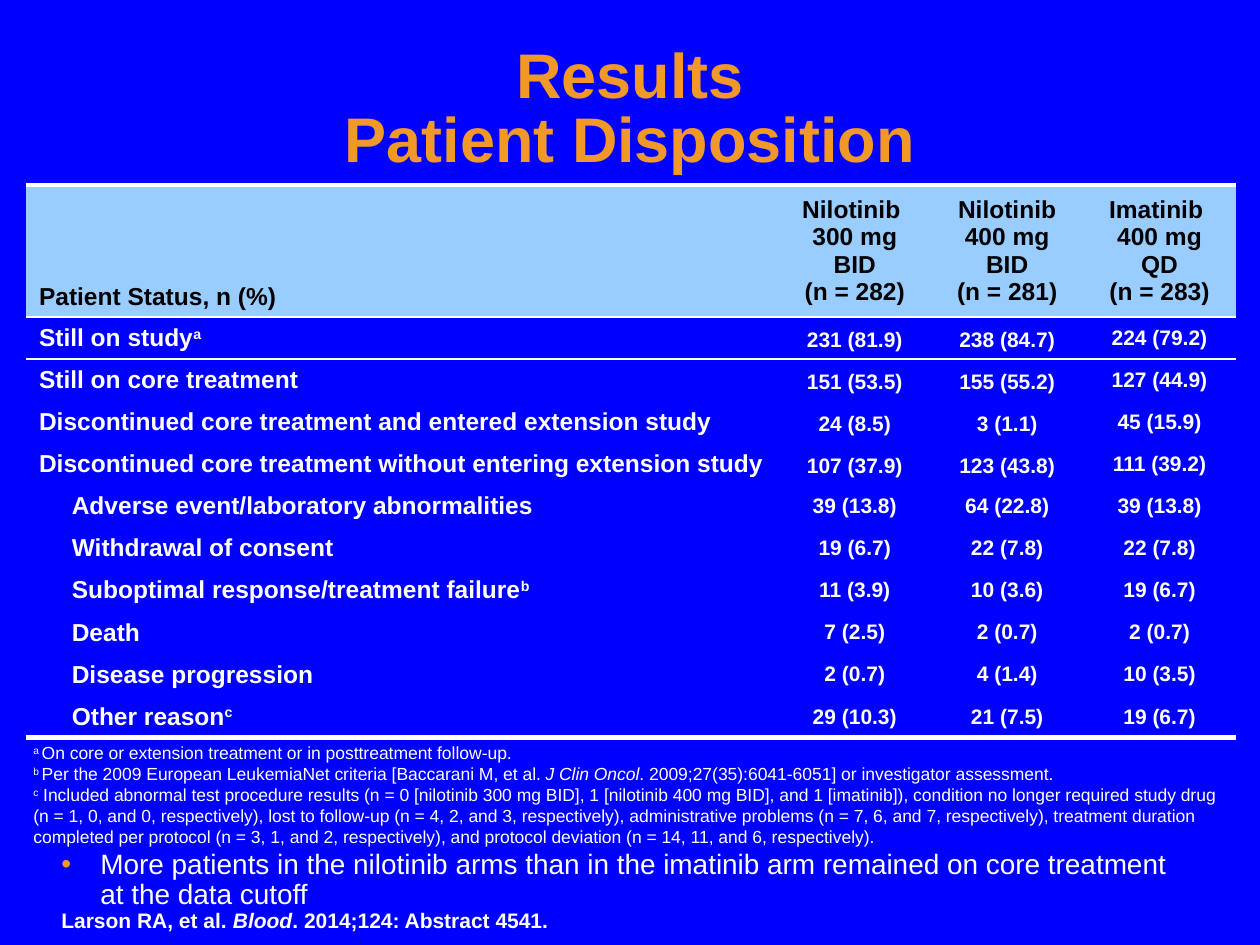
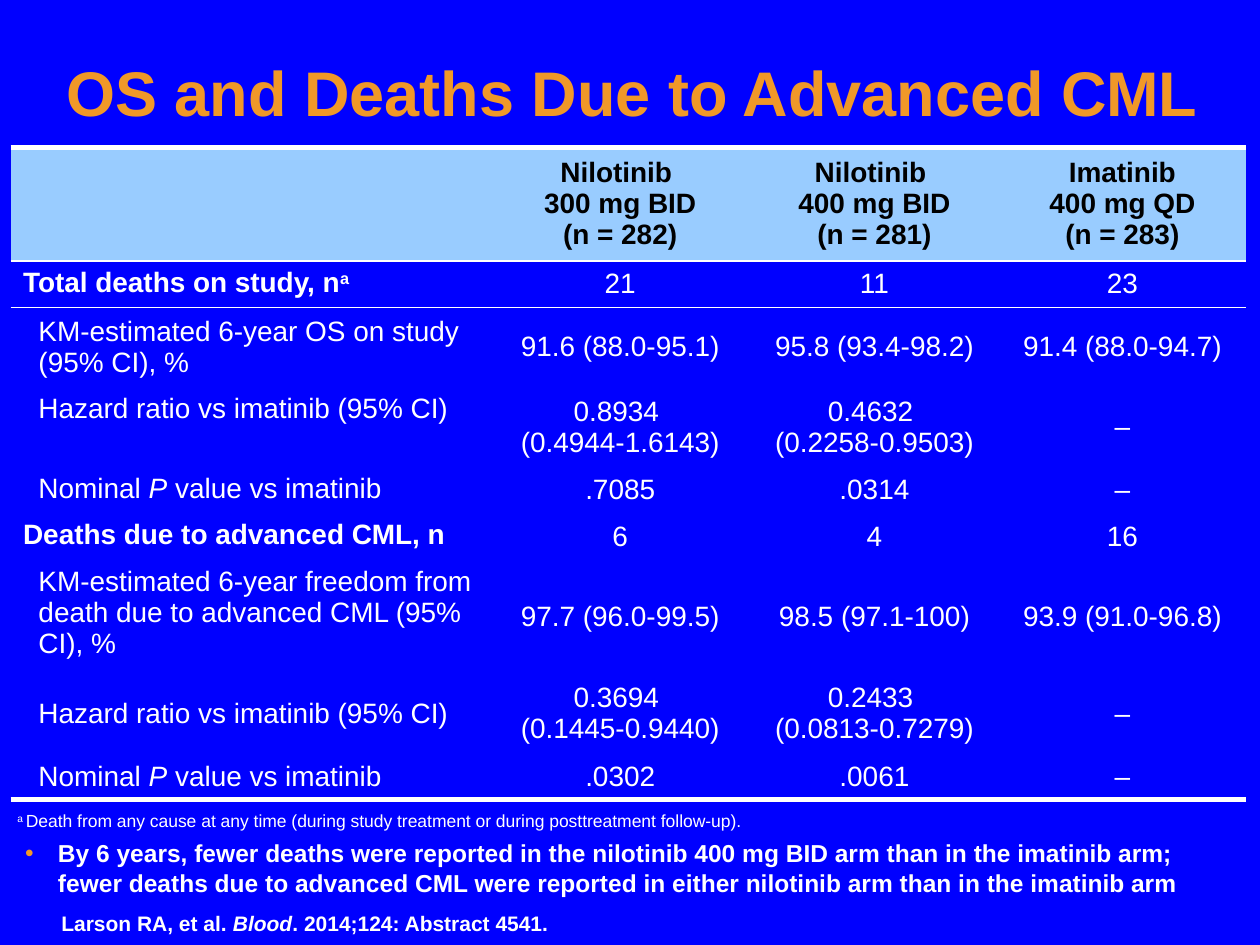
from copy import deepcopy
from lxml.etree import SubElement as Sub
from pptx import Presentation
from pptx.dml.color import RGBColor
from pptx.enum.text import MSO_ANCHOR as Anchor, PP_ALIGN as Align
from pptx.oxml.ns import qn
from pptx.util import Pt

rgb = RGBColor.from_string
BLUE, GOLD, WHITE, BLACK, SKY = "0000FF", "F09828", "FFFFFF", "000000", "99CCFF"
NO_STYLE = "{2D5ABB26-0587-4C30-8999-92F81FD0307C}"
CITE = "Larson RA, et al. |_Blood|. 2014;124: Abstract 4541."


# "\n" parts paragraphs, "|" parts runs, "^" raises a run, "_" slants it, "\v" breaks a line
def write(frame, text, size, hue=WHITE, bold=False, align=Align.LEFT, space=None,
          left=0, hang=0):
    frame.word_wrap = True
    for n, line in enumerate(text.split("\n")):
        para = frame.paragraphs[0] if n == 0 else frame.add_paragraph()
        para.alignment = align
        if space:
            para.line_spacing = space
        props = para._p.get_or_add_pPr()
        if left:
            props.set("marL", str(Pt(left)))
        if hang:
            props.set("indent", str(-Pt(hang)))
            Sub(Sub(props, qn("a:buClr")), qn("a:srgbClr"), val=GOLD)
            Sub(props, qn("a:buFont"), typeface="Arial")
            Sub(props, qn("a:buChar"), char="•")
        for part in line.split("|"):
            mark = part[:1]
            for k, piece in enumerate(part.lstrip("^_").split("\v")):
                if k:
                    para.add_line_break()
                    para._p[-1].append(deepcopy(run._r.rPr))
                run = para.add_run()
                run.text = piece
                font = run.font
                font.name, font.size, font.bold = "Arial", Pt(size), bold
                font.color.rgb = rgb(hue)
                if mark == "_":
                    font.italic = True
                if mark == "^":
                    run._r.get_or_add_rPr().set("baseline", "30000")


def box(slide, at, text, size, anchor=Anchor.TOP, **look):
    frame = slide.shapes.add_textbox(*map(Pt, at)).text_frame
    frame.vertical_anchor = anchor
    write(frame, text, size, **look)


pages = [
    dict(
        title="Results\nPatient Disposition", head=(43.2, 35.3, 633.6, 56.2),
        grid=(15.1, 105.8), cols=[429.8, 87.1, 87.1, 87.1], rows=[75.4] + [24] * 10,
        sizes=(14, 14, 12), bold=True, inset=18.7, tops=(), loose=range(1, 5),
        cells=[
            ["Patient Status, n (%)", "Nilotinib \v300 mg BID\n(n = 282)",
             "Nilotinib 400 mg BID\n(n = 281)", "Imatinib \v400 mg QD\n(n = 283)"],
            ["Still on study|^a", "231 (81.9)", "238 (84.7)", "224 (79.2)"],
            ["Still on core treatment", "151 (53.5)", "155 (55.2)", "127 (44.9)"],
            ["Discontinued core treatment and entered extension study",
             "24 (8.5)", "3 (1.1)", "45 (15.9)"],
            ["Discontinued core treatment without entering extension study",
             "107 (37.9)", "123 (43.8)", "111 (39.2)"],
            [">Adverse event/laboratory abnormalities", "39 (13.8)", "64 (22.8)", "39 (13.8)"],
            [">Withdrawal of consent", "19 (6.7)", "22 (7.8)", "22 (7.8)"],
            [">Suboptimal response/treatment failure|^b", "11 (3.9)", "10 (3.6)", "19 (6.7)"],
            [">Death", "7 (2.5)", "2 (0.7)", "2 (0.7)"],
            [">Disease progression", "2 (0.7)", "4 (1.4)", "10 (3.5)"],
            [">Other reason|^c", "29 (10.3)", "21 (7.5)", "19 (6.7)"],
        ],
        note="^a |On core or extension treatment or in posttreatment follow-up.\n"
             "^b |Per the 2009 European LeukemiaNet criteria [Baccarani M, et al. "
             "|_J Clin Oncol|. 2009;27(35):6041-6051] or investigator assessment.\n"
             "^c| Included abnormal test procedure results (n = 0 [nilotinib 300 mg BID], "
             "1 [nilotinib 400 mg BID], and 1 [imatinib]), condition no longer required "
             "study drug (n = 1, 0, and 0, respectively), lost to follow-up (n = 4, 2, and 3, "
             "respectively), administrative problems (n = 7, 6, and 7, respectively), "
             "treatment duration completed per protocol (n = 3, 1, and 2, respectively), "
             "and protocol deviation (n = 14, 11, and 6, respectively).",
        foot=(12, 420.5, 690, 67.7),
        point="More patients in the nilotinib arms than in the imatinib arm remained "
              "on core treatment \vat the data cutoff",
        spot=(28, 482.4, 692, 42.5),
        look=dict(size=16, space=0.9, left=22.3, hang=22.3), base=514.8),
    dict(
        title="OS and Deaths Due to Advanced CML", head=(2.9, 27.4, 717.1, 56.2),
        grid=(6, 84.2), cols=[274.3, 148.2, 142.4, 141],
        rows=[65, 26.5, 45.3, 45.3, 26.5, 26.5, 65, 45.3, 26.5],
        sizes=(16, 16, 16), bold=False, inset=8.8, tops=(1, 3, 4, 5, 6), loose=(),
        cells=[
            ["", "Nilotinib \n300 mg BID\n(n = 282)", "Nilotinib \n400 mg BID\n(n = 281)",
             "Imatinib\n400 mg QD\n(n = 283)"],
            ["Total deaths on study, n|^a", "21", "11", "23"],
            [">KM-estimated 6-year OS on study (95% CI), %",
             "91.6 (88.0-95.1)", "95.8 (93.4-98.2)", "91.4 (88.0-94.7)"],
            [">Hazard ratio vs imatinib (95% CI)",
             "0.8934 \n(0.4944-1.6143)", "0.4632 \n(0.2258-0.9503)", "–"],
            [">Nominal |_P| value vs imatinib", ".7085", ".0314", "–"],
            ["Deaths due to advanced CML, n", "6", "4", "16"],
            [">KM-estimated 6-year freedom from death due to advanced CML (95% CI), %",
             "97.7 (96.0-99.5)", "98.5 (97.1-100)", "93.9 (91.0-96.8)"],
            [">Hazard ratio vs imatinib (95% CI)",
             "0.3694 \n(0.1445-0.9440)", "0.2433 \n(0.0813-0.7279)", "–"],
            [">Nominal |_P| value vs imatinib", ".0302", ".0061", "–"],
        ],
        note="^a |Death from any cause at any time (during study treatment or during "
             "posttreatment follow-up).",
        foot=(2.9, 459.4, 714.2, 19.4),
        point="By 6 years, fewer deaths were reported in the nilotinib 400 mg BID arm than "
              "in the imatinib arm; fewer deaths due to advanced CML were reported in "
              "either nilotinib arm than in the imatinib arm",
        spot=(-1.4, 475.5, 690.5, 44.6),
        look=dict(size=14, bold=True, left=27.4, hang=18.7), base=517),
]

deck = Presentation()
deck.slide_width, deck.slide_height = Pt(720), Pt(540)

for page in pages:
    slide = deck.slides.add_slide(deck.slide_layouts[6])
    back = slide.background.fill
    back.solid()
    back.fore_color.rgb = rgb(BLUE)
    box(slide, page["head"], page["title"], 36, Anchor.MIDDLE, hue=GOLD, bold=True,
        align=Align.CENTER, space=0.85)
    box(slide, page["foot"], page["note"], 10)

    cols, rows, cells = page["cols"], page["rows"], page["cells"]
    spans = map(Pt, (*page["grid"], sum(cols), sum(rows)))
    table = slide.shapes.add_table(len(rows), len(cols), *spans).table
    table.first_row = table.horz_banding = False
    table._tbl.tblPr.find(qn("a:tableStyleId")).text = NO_STYLE
    for c, wide in enumerate(cols):
        table.columns[c].width = Pt(wide)
    for r, high in enumerate(rows):
        table.rows[r].height = Pt(high)
        top, last = r == 0, r == len(rows) - 1
        for c, text in enumerate(cells[r]):
            cell = table.cell(r, c)
            cell.vertical_anchor = Anchor.MIDDLE
            edges = {"a:lnT": 3 if top else 1 if r == 1 else 0,
                     "a:lnB": 3 if last else 1 if top else 0}
            for tag, thick in edges.items():
                if thick:
                    edge = Sub(cell._tc.get_or_add_tcPr(), qn(tag), w=str(Pt(thick)))
                    Sub(Sub(edge, qn("a:solidFill")), qn("a:srgbClr"), val=WHITE)
            if top:
                cell.fill.solid()
                cell.fill.fore_color.rgb = rgb(SKY)
            else:
                cell.fill.background()
            sub = text.startswith(">")
            space = None
            if c == 0 and top:
                cell.vertical_anchor = Anchor.BOTTOM
            elif c == 0 and r in page["tops"]:
                cell.vertical_anchor = Anchor.TOP
            elif c in (1, 2) and r in page["loose"]:
                cell.margin_left = cell.margin_right = Pt(3)
                cell.margin_top = cell.margin_bottom = Pt(0)
                space = 1.15
            if text:
                write(cell.text_frame, text.lstrip(">"),
                      page["sizes"][0 if top else 1 if c == 0 else 2],
                      hue=BLACK if top else WHITE,
                      bold=page["bold"] or top or (c == 0 and not sub),
                      align=Align.CENTER if c else Align.LEFT, space=space,
                      left=page["inset"] if sub else 0)

    box(slide, page["spot"], page["point"], **page["look"])
    box(slide, (28, page["base"], 406, 21.6), CITE, 12, bold=True)

deck.save("out.pptx")
